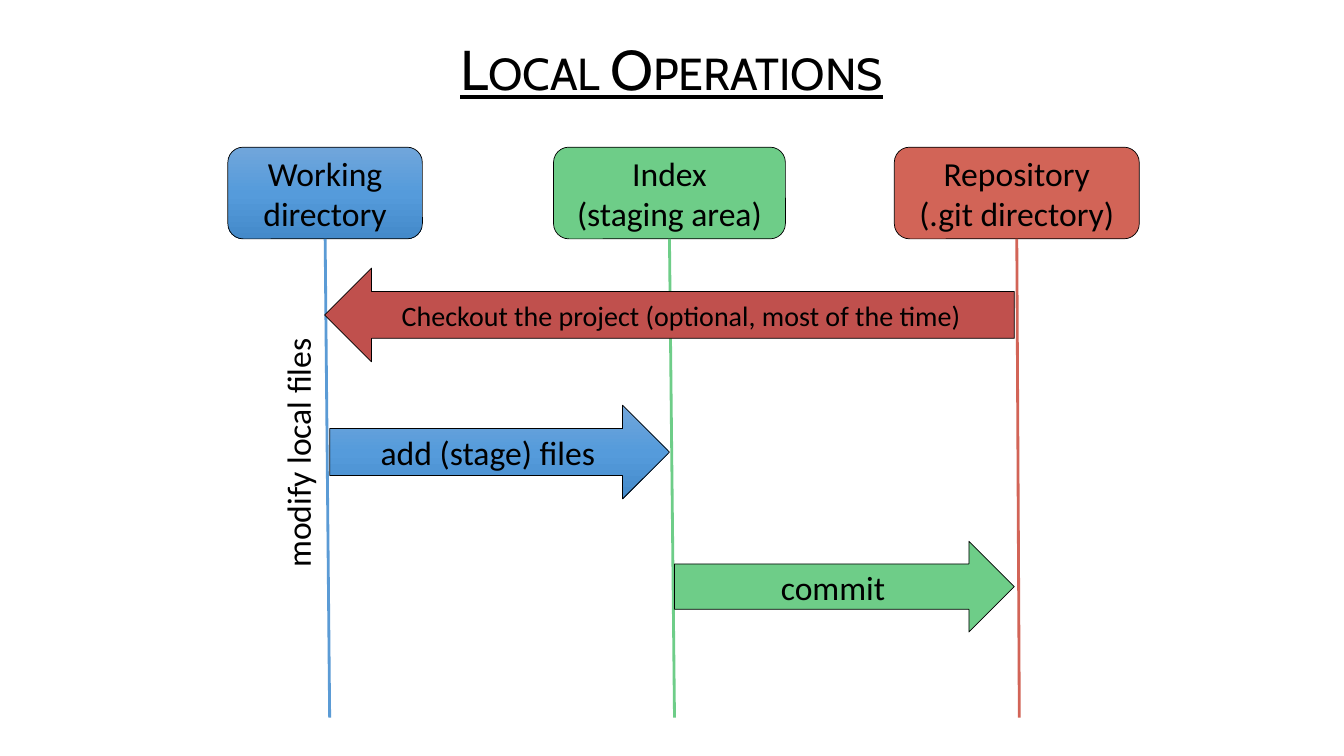
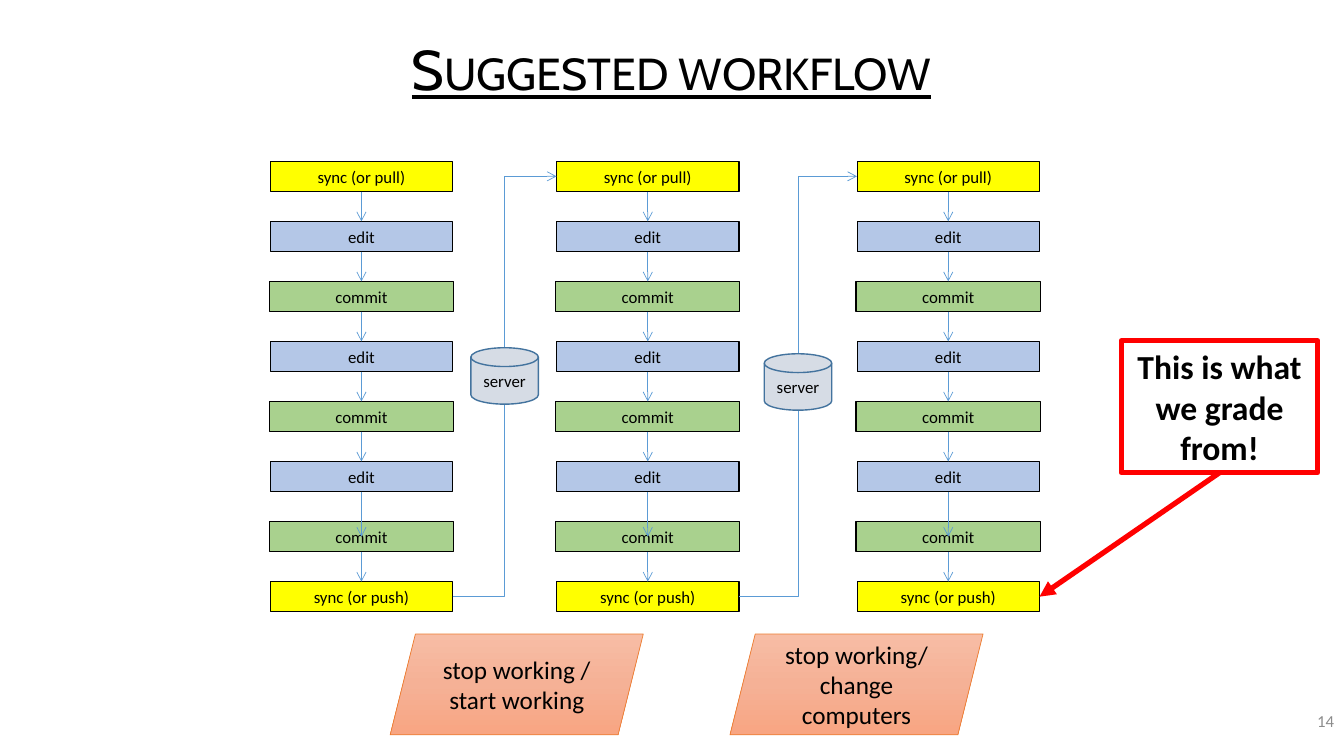
import copy

import pptx
import pptx.dml.color
import pptx.enum.shapes
import pptx.enum.text
import pptx.oxml
import pptx.oxml.ns
import pptx.util

SHAPE = pptx.enum.shapes.MSO_SHAPE
LINK = pptx.enum.shapes.MSO_CONNECTOR
ALIGN = pptx.enum.text.PP_ALIGN
MIDDLE = pptx.enum.text.MSO_ANCHOR.MIDDLE
qn = pptx.oxml.ns.qn
PX = 9144  # EMU in one px, 100 px to the inch
TOP, LEFT, BOTTOM, RIGHT = range(4)


class Theme:
    head, body = "Cabin", "Calibri"
    title, big, mid, note, small = 40, 24, 20, 18, 12
    black, gray, red = "000000", "8C8C8C", "FF0000"
    sky, green, coral, brick = "5B9BD5", "6ECD88", "D26457", "C0504D"
    yellow, pale, leaf = "FFFF00", "B4C7E7", "A9D18E"
    steel, navy, orange = "D6DCE5", "43739E", "ED7D31"
    blues = ("71A6DB", "559BDB", "448ACA")
    peach = ("F7BDA5", "F5B196", "F8A582")


# Content: local operations
LANES = [  # text, box, fill, lane colour, lane foot
    ("Working directory", (226, 146, 193, 91), Theme.blues, Theme.sky, 327),
    ("Index\v(staging area)", (549, 146, 230, 91), Theme.green, Theme.green, 669),
    ("Repository\v(.git directory)", (887, 146, 243, 91), Theme.coral, Theme.coral, 1011),
]
FOOT = 712
STEPS = [  # text, shape, box, fill, size
    ("Checkout the project (optional, most of the time)", SHAPE.LEFT_ARROW,
     (322, 266, 684, 93), Theme.brick, Theme.mid),
    ("add (stage) files", SHAPE.RIGHT_ARROW, (327, 402, 337, 93), Theme.blues, Theme.big),
    ("commit", SHAPE.RIGHT_ARROW, (669, 537, 337, 90), Theme.green, Theme.big),
]

# Content: suggested workflow
PULL = ("sync (or pull)", Theme.yellow, 0)
EDIT = ("edit", Theme.pale, 0)
COMMIT = ("commit", Theme.leaf, 1)  # last value: extra px on each side
PUSH = ("sync (or push)", Theme.yellow, 0)
CHAIN = [PULL] + [EDIT, COMMIT] * 3 + [PUSH]
COLS = (268, 552, 850)
FIRST, LAST, WIDE, HIGH = 160, 577, 181, 30
DEEP = 5  # the arrow from this row runs on to the middle of the next
BREAKS = [
    ("stop working / start working", (387, 629, 251, 100)),
    ("stop working/ change computers", (724, 629, 251, 100)),
]
SERVERS = [(467, 345, 67, 56), (758, 351, 67, 56)]
GRADE = ("This is what we grade from!", (1112, 338, 195, 131))


def rgb(color):
    return pptx.dml.color.RGBColor.from_string(color)


def emu(*sizes):
    return [round(size * PX) for size in sizes]


def write(part, text, size, color=Theme.black, font=Theme.body,
          align=ALIGN.CENTER, bold=False, wrap=True):
    frame = part.text_frame
    frame.text = text
    frame.word_wrap = wrap
    frame.vertical_anchor = MIDDLE
    para = frame.paragraphs[0]
    para.alignment = align
    for run in para.runs:
        run.font.name, run.font.size = font, pptx.util.Pt(size)
        run.font.color.rgb = rgb(color)
        run.font.bold = bold
    return para


def label(slide, text, box, size, **style):
    part = slide.shapes.add_textbox(*emu(*box))
    return part, write(part, text, size, **style)


def paint(part, fill):
    """Fill with one colour, three colours from top to bottom, or none."""
    if fill is None:
        part.fill.background()
    elif isinstance(fill, str):
        part.fill.solid()
        part.fill.fore_color.rgb = rgb(fill)
    else:
        part.fill.gradient()
        part.fill.gradient_angle = 270
        stops = part.element.spPr.find(".//" + qn("a:gsLst"))
        stops.insert(1, copy.deepcopy(stops[0]))
        for stop, color, place in zip(part.fill.gradient_stops, fill, (0, 0.5, 1)):
            stop.color.rgb = rgb(color)
            stop.position = place


def block(shapes, kind, box, fill, text, size, line=Theme.black, width=0.5, bold=False):
    part = shapes.add_shape(kind, *emu(*box))
    part.shadow.inherit = False
    paint(part, fill)
    part.line.color.rgb = rgb(line)
    part.line.width = pptx.util.Pt(width)
    write(part, text, size, bold=bold)
    return part


def link(shapes, start, end, color, width, tip=None, kind=LINK.STRAIGHT):
    """Join (shape, side) ends; an end that is a plain point stays free."""
    line = shapes.add_connector(kind, 0, 0, 0, 0)
    line.begin_connect(*start)
    if isinstance(end[0], int):
        line.end_x, line.end_y = end
    else:
        line.end_connect(*end)
    line.line.color.rgb = rgb(color)
    line.line.width = pptx.util.Pt(width)
    props = line.element.spPr
    if tip:
        pptx.oxml.ns  # namespace helpers used below
        props.find(qn("a:ln")).append(
            props.makeelement(qn("a:tailEnd"), {"type": tip}))
    props.append(props.makeelement(qn("a:effectLst"), {}))


def start(deck, title):
    slide = deck.slides.add_slide(deck.slide_layouts[6])
    para = label(slide, title, (174, 29, 984, 85), Theme.title, font=Theme.head)[1]
    para.line_spacing = 0.9
    for run in para.runs:
        run.font.underline = True
        run.font.element.set("cap", "small") if hasattr(run.font, "element") else \
            run._r.get_or_add_rPr().set("cap", "small")
    return slide


def local(deck):
    slide = start(deck, "Local Operations")
    shapes = slide.shapes
    # Boxes and their lanes
    for text, box, fill, color, foot in LANES:
        part = block(shapes, SHAPE.ROUNDED_RECTANGLE, box, fill, text, Theme.big)
        link(shapes, (part, BOTTOM), emu(foot, FOOT), color, 2)
    # Arrows between lanes
    for text, kind, box, fill, size in STEPS:
        block(shapes, kind, box, fill, text, size)
    # Upright note
    note = label(slide, "modify local files", (170, 423, 250, 50), Theme.big,
                 align=ALIGN.LEFT, wrap=False)[0]
    note.rotation = 270


def column(slide, left):
    """Draw one chain of steps; return its first and last box."""
    shapes = slide.shapes.add_group_shape().shapes
    pitch = (LAST - FIRST) / (len(CHAIN) - 1)
    parts = []
    for row, (text, fill, more) in enumerate(CHAIN):
        box = (left - more, FIRST + row * pitch, WIDE + 2 * more, HIGH)
        parts.append(block(shapes, SHAPE.RECTANGLE, box, fill, text, Theme.small, width=0.75))
    for row, (above, below) in enumerate(zip(parts, parts[1:])):
        end = (below, TOP)
        if row == DEEP:
            end = (below.left + below.width // 2, below.top + below.height // 2)
        link(shapes, (above, BOTTOM), end, Theme.sky, 0.5, "arrow")
    return parts[0], parts[-1]


def flow(deck):
    slide = start(deck, "Suggested workflow")
    shapes = slide.shapes
    label(slide, "14", (1022, 695, 311, 40), Theme.small, color=Theme.gray, align=ALIGN.RIGHT)
    # Chains, each pushed to the next
    ends = [column(slide, left) for left in COLS]
    for (_, push), (pull, _) in zip(ends, ends[1:]):
        link(shapes, (push, RIGHT), (pull, LEFT), Theme.sky, 0.5, "arrow", LINK.ELBOW)
    # Breaks and servers
    for text, box in BREAKS:
        block(shapes, SHAPE.PARALLELOGRAM, box, Theme.peach, text, Theme.note, Theme.orange)
    for box in SERVERS:
        block(shapes, SHAPE.FLOWCHART_MAGNETIC_DISK, box, Theme.steel, "server",
              Theme.small, Theme.navy, 1)
    # Grading callout
    text, box = GRADE
    grade = block(shapes, SHAPE.RECTANGLE, box, None, text, Theme.big, Theme.red, 3.75, True)
    link(shapes, (grade, BOTTOM), (ends[-1][1], RIGHT), Theme.red, 3.75, "triangle")


def main():
    deck = pptx.Presentation()
    deck.slide_width, deck.slide_height = emu(1333, 750)
    local(deck)
    flow(deck)
    deck.save("out.pptx")


if __name__ == "__main__":
    main()
